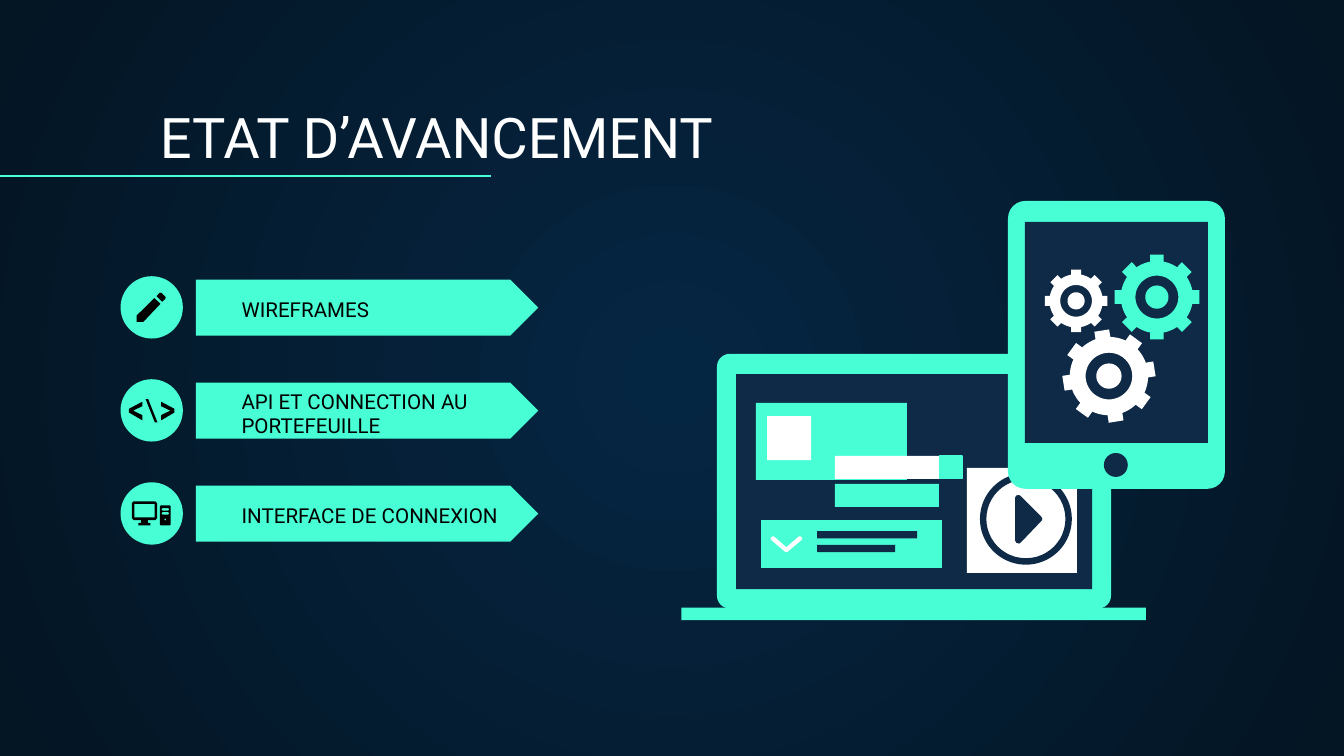
from math import asin, cos, pi, radians, sin

from pptx import Presentation
from pptx.dml.color import RGBColor as RGB
from pptx.enum.shapes import MSO_CONNECTOR as Conn, MSO_SHAPE as Kind
from pptx.enum.text import MSO_ANCHOR as Anchor, MSO_AUTO_SIZE as Auto, PP_ALIGN as Align
from pptx.oxml import parse_xml
from pptx.oxml.ns import nsdecls, qn
from pptx.util import Pt

MINT = RGB(0x48, 0xFF, 0xD5)
NAVY = RGB(0x0E, 0x2A, 0x47)
WHITE = RGB(0xFF, 0xFF, 0xFF)
BLACK = RGB(0, 0, 0)
GLOW = RGB(0x05, 0x26, 0x43)
DUSK = RGB(0x04, 0x15, 0x23)

FRAME = {"word_wrap": True, "auto_size": Auto.NONE, "vertical_anchor": Anchor.BOTTOM,
         "margin_left": Pt(7.2), "margin_right": Pt(7.2),
         "margin_top": Pt(7.2), "margin_bottom": Pt(7.2)}
PARA = {"alignment": Align.LEFT, "space_before": Pt(0), "space_after": Pt(0)}
FONT = {"name": "Roboto", "bold": False}


def apply(item, form):
    for key, value in form.items():
        setattr(item, key, value)


def paint(shape, color):
    shape.shadow.inherit = False
    shape.fill.solid()
    shape.fill.fore_color.rgb = color
    shape.line.fill.background()
    return shape


def block(slide, kind, box, color, adjust=None):
    shape = slide.shapes.add_shape(kind, *map(Pt, box))
    if adjust is not None:
        shape.adjustments[0] = adjust
    return paint(shape, color)


def trace(slide, x, y, loops, color):
    loops = [[(Pt(x + a), Pt(y + b)) for a, b in loop] for loop in loops]
    pen = slide.shapes.build_freeform(*loops[0][0])
    for n, loop in enumerate(loops):
        if n:
            pen.move_to(*loop[0])
        pen.add_line_segments(loop[1:], close=True)
    return paint(pen.convert_to_shape(), color)


def write(slide, holder, box, text, size, color):
    slide.shapes.element.append(holder.element)
    apply(holder, dict(zip(("left", "top", "width", "height"), map(Pt, box))))
    frame = holder.text_frame
    frame.text = text
    apply(frame, FRAME)
    para = frame.paragraphs[0]
    apply(para, PARA)
    apply(para.runs[0].font, {**FONT, "size": Pt(size)})
    para.runs[0].font.color.rgb = color
    props = para.runs[0].font._element.getparent().getparent().get_or_add_pPr()
    props.set("marL", "0")
    props.set("indent", "0")
    props.append(parse_xml(f"<a:buNone {nsdecls('a')}/>"))


def ring(x, y, r, count=48):
    return [(x + r * cos(2 * pi * n / count), y + r * sin(2 * pi * n / count))
            for n in range(count)]


def panel(l, t, r, b, c=0.5):
    return [(l + c, t), (r - c, t), (r, t + c), (r, b - c),
            (r - c, b), (l + c, b), (l, b - c), (l, t + c)]


def gear(slide, x, y, r, color, tilt=0):
    body, half = 0.84 * r, 0.16 * r
    root, tip = asin(half / body), asin(half / r)
    edge = []
    for n in range(8):
        mid = radians(tilt) + n * pi / 4
        gap = pi / 4 - 2 * root
        spots = [(body, -root), (r, -tip), (r, tip), (body, root)]
        spots += [(body, root + gap * k / 5) for k in range(1, 5)]
        edge += [(d * sin(mid + a), -d * cos(mid + a)) for d, a in spots]
    trace(slide, x, y, [edge, ring(0, 0, 0.5 * r), ring(0, 0, 0.27 * r)], color)


def pencil():
    return [[[(20.8, 9), (21.8, 8.8), (24.2, 11.2), (24, 12.2), (22.3, 13.7), (19.3, 10.7)],
             [(18.2, 11.7), (8.6, 21.1), (8.6, 24.5), (12.2, 24.5), (21.4, 14.8)]]]


def code():
    left = [(11.7, 22), (4.5, 17.8), (4.5, 15.8), (11.7, 12),
            (11.7, 14.4), (6.7, 16.8), (11.7, 19.2)]
    right = [(33.4 - x, y) for x, y in left]
    slash = [(18.4, 23.2), (13.4, 10.6), (14.8, 10.6), (19.8, 23.2)]
    return [[left], [slash], [right]]


def desktop():
    stand = [(11, 20.2), (14.6, 20.2), (14.6, 21.6), (16, 21.9), (16, 23.1),
             (9.6, 23.1), (9.6, 21.9), (11, 21.6)]
    screen = [panel(6, 10.2, 19.6, 20.2, 1), panel(7.4, 11.6, 18.2, 18.8, 0), stand]
    tower = [panel(21.1, 12.3, 26.8, 23.1), panel(22, 13.8, 26, 15.2),
             panel(22, 15.9, 26, 17.3), ring(24, 19.9, 0.5, 12)]
    return [screen, tower]


def backdrop(slide):
    fill = slide.background.fill
    fill.gradient()
    for stop, color in zip(fill.gradient_stops, (GLOW, DUSK)):
        stop.color.rgb = color
    line = slide.element.find(".//" + qn("a:lin"))
    line.getparent().replace(line, parse_xml(
        f'<a:path {nsdecls("a")} path="circle">'
        '<a:fillToRect l="50000" t="50000" r="50000" b="50000"/></a:path>'))


def header(slide, box):
    x, y, w, h = box
    write(slide, slide.shapes.title, box, "ETAT D’AVANCEMENT", 30, WHITE)
    rule = slide.shapes.add_connector(
        Conn.STRAIGHT, Pt(0), Pt(y + h - 3.6), Pt(x + 184.3), Pt(y + h - 3.6))
    rule.line.color.rgb = MINT
    rule.line.width = Pt(0.75)
    rule.element.spPr.append(parse_xml(f"<a:effectLst {nsdecls('a')}/>"))


def step(slide, box, holder, text, icon, shift):
    x, y, w, h = box
    block(slide, Kind.PENTAGON, (x + 40.4, y + 1.8, w - 40.4, h - 3.4), MINT, 0.5)
    block(slide, Kind.OVAL, (x, y, h, h), MINT)
    for loops in icon:
        trace(slide, x, y, loops, BLACK)
    write(slide, holder, (x + 57.6, y + shift, 163.4, 15.1), text, 11, BLACK)


def laptop(slide, box):
    x, y, w, h = box
    block(slide, Kind.ROUNDED_RECTANGLE, (x + 19.1, y, w - 37.9, h - 6.2), MINT, 0.05)
    parts = [
        (29.3, 10.8, 190.8, 115.2, NAVY),
        (0, h - 6.6, w, 6.6, MINT),
        (40, 26.3, 80.9, 41.2, MINT),
        (45.9, 33.3, 23.6, 23.6, WHITE),
        (68, 89, 71.6, 25.7, MINT),
        (72.7, 94.9, 53.6, 3.9, NAVY),
        (72.7, 102.4, 41.8, 3.9, NAVY),
        (42.7, 89, 25.3, 25.7, MINT),
        (82.3, 69.7, 55.7, 12.3, MINT),
        (82.3, 54.7, 55.7, 12.3, WHITE),
        (153, 61.1, 58.9, 56.2, WHITE),
    ]
    for a, b, c, d, color in parts:
        block(slide, Kind.RECTANGLE, (x + a, y + b, c, d), color)
    knob = block(slide, Kind.RECTANGLE, (x + 138.3, y + 54.7, 12.2, 12.2), MINT)
    knob.line.color.rgb = MINT
    knob.line.width = Pt(0.75)
    block(slide, Kind.DONUT, (x + 160, y + 63.9, 49.2, 49), NAVY, 0.07)
    play = [(178.8, 77), (179.5, 75.8), (181, 75.6), (181.9, 76.2), (193, 87.4),
            (193.4, 88.4), (193, 89.4), (181.9, 101), (181, 101.6), (179.5, 101.2), (178.8, 100)]
    trace(slide, x, y, [play], NAVY)
    half = [(56.3, 103.6), (49.8, 97.9), (48.8, 97.7), (47.8, 98.6),
            (48.2, 99.8), (55.6, 106), (56.3, 106.3)]
    tick = half + [(112.6 - a, b) for a, b in half[-2:0:-1]]
    trace(slide, x, y, [tick], WHITE)


def tablet(slide, box):
    x, y, w, h = box
    block(slide, Kind.ROUNDED_RECTANGLE, box, MINT, 0.08)
    block(slide, Kind.RECTANGLE, (x + 9.1, y + 11.2, w - 18.2, 118.4), NAVY)
    block(slide, Kind.OVAL, (x + 51.4, y + 135, 12.8, 12.8), NAVY)
    gear(slide, x + 79.8, y + 51.5, 23, MINT)
    gear(slide, x + 36.5, y + 53.5, 17, WHITE)
    gear(slide, x + 54.1, y + 93.8, 25, WHITE, -9)


def main():
    deck = Presentation()
    apply(deck, {"slide_width": Pt(720), "slide_height": Pt(405)})
    slide = deck.slides.add_slide(deck.slide_layouts[4])
    hold = {item.placeholder_format.idx: item for item in slide.placeholders}
    spare = hold[4].element
    spare.getparent().remove(spare)
    backdrop(slide)
    header(slide, (78.5, 50.4, 617, 47.5))
    steps = [("WIREFRAMES", pencil(), 16.4),
             ("API ET CONNECTION AU PORTEFEUILLE", code(), 23.6),
             ("INTERFACE DE CONNEXION", desktop(), 16.4)]
    for n, (text, icon, shift) in enumerate(steps):
        step(slide, (64.6, 148 + 55.2 * n, 223.8, 33.4), hold[n + 1], text, icon, shift)
    laptop(slide, (365, 189.6, 249, 142.6))
    tablet(slide, (540, 107.7, 116.2, 154.2))
    deck.save("out.pptx")


if __name__ == "__main__":
    main()
